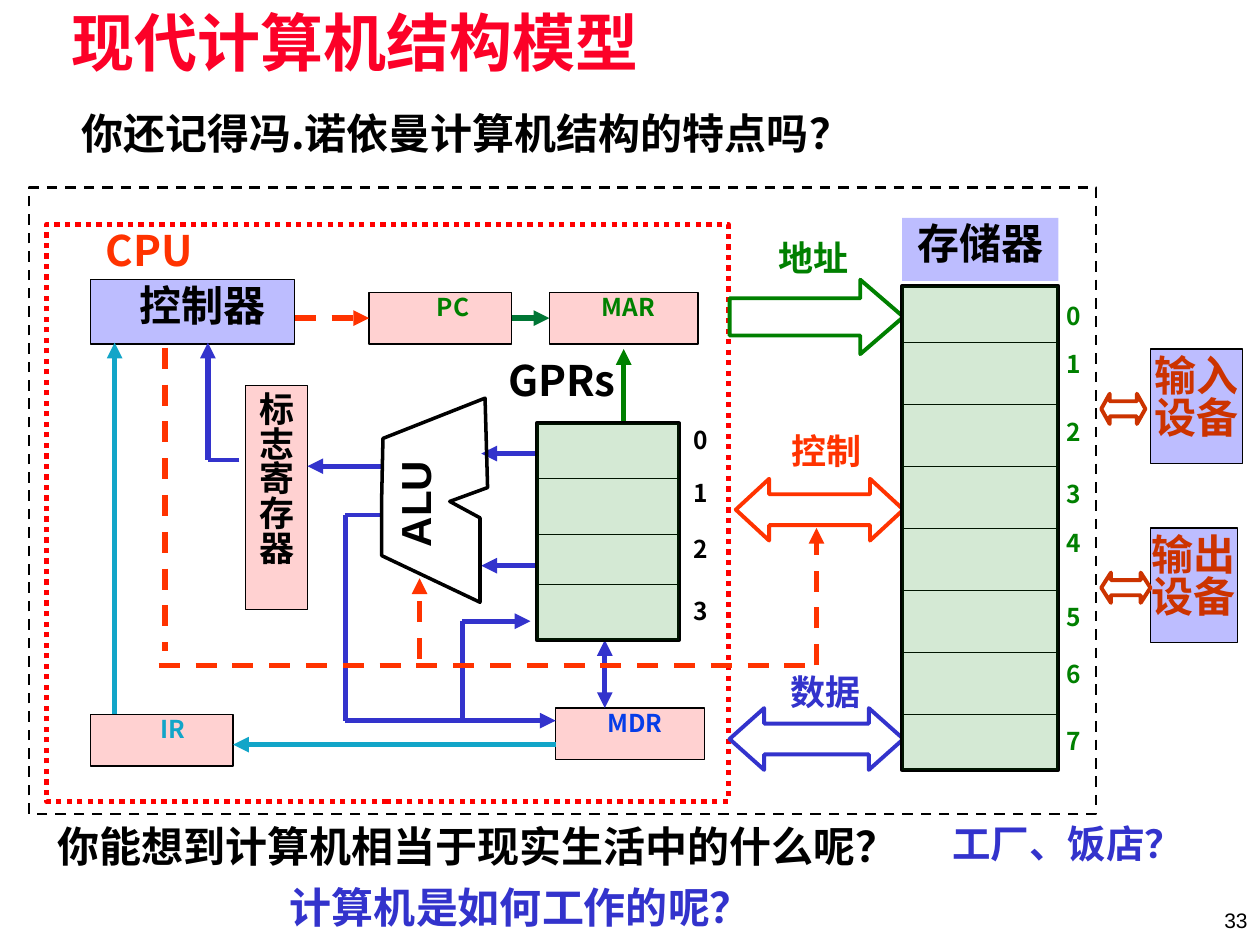
from dataclasses import dataclass
from itertools import pairwise

from lxml.etree import SubElement
from pptx import Presentation
from pptx.dml.color import RGBColor
from pptx.enum.dml import MSO_LINE as Dash
from pptx.enum.shapes import MSO_CONNECTOR as Link, MSO_SHAPE as Shape
from pptx.enum.text import MSO_ANCHOR as Anchor, PP_ALIGN as Align
from pptx.oxml.ns import qn
from pptx.util import Inches, Pt

COLUMNS, ROWS = 100, 75
CJK = "Noto Sans CJK SC"
BLACK, WHITE, BLUE, RED = "000000", "FFFFFF", "0000FF", "FF0000"
GREEN, INDIGO, ORANGE, CYAN, RUST = "008000", "3333CC", "FF3300", "12A5C8", "CC3300"
VIOLET, PINK, MINT = (BLUE, 26), (RED, 18), (GREEN, 17)

deck = Presentation()
deck.slide_width, deck.slide_height = Inches(10), Inches(7.5)
slide = deck.slides.add_slide(deck.slide_layouts[6])


def rgb(hex_colour):
    """Turn a hex string into a colour."""
    return RGBColor.from_string(hex_colour)


def assign(target, values):
    """Set every attribute named in a dict of format values."""
    for name, value in values.items():
        setattr(target, name, value)


def paint(shape, fill=None, line=None, width=0.75, dash=None):
    """Fill and outline a shape; a fill may be a (colour, opacity) pair."""
    shape.shadow.inherit = False
    if fill:
        colour, opacity = fill if isinstance(fill, tuple) else (fill, 100)
        shape.fill.solid()
        shape.fill.fore_color.rgb = rgb(colour)
        if opacity < 100:
            tint = shape.fill._xPr.find(".//" + qn("a:srgbClr"))
            SubElement(tint, qn("a:alpha"), val=str(opacity * 1000))
    else:
        shape.fill.background()
    if line:
        shape.line.color.rgb = rgb(line)
        assign(shape.line, {"width": Pt(width), "dash_style": dash})
    else:
        shape.line.fill.background()


def write(shape, text, size, colour, font=CJK, bold=True, align=Align.CENTER,
          spacing=None, anchor=Anchor.TOP, left=0, top=0, right=0):
    """Set the text of a shape, one paragraph a line."""
    frame = shape.text_frame
    assign(frame, {"word_wrap": True, "vertical_anchor": anchor, "margin_left": Inches(left),
                   "margin_top": Inches(top), "margin_right": Inches(right), "margin_bottom": 0})
    frame.text = text
    for paragraph in frame.paragraphs:
        assign(paragraph, {"alignment": align, "line_spacing": spacing})
        run = paragraph.runs[0]
        assign(run.font, {"size": Pt(size), "bold": bold, "name": font})
        run.font.color.rgb = rgb(colour)
        SubElement(run.font._element, qn("a:ea"), typeface=CJK)


@dataclass
class Region:
    """A box on the slide grid whose parts sit relative to its corner."""
    left: float
    top: float
    width: float
    height: float

    def point(self, x, y):
        """Convert local columns and rows to slide lengths."""
        return (round((self.left + x) * deck.slide_width / COLUMNS),
                round((self.top + y) * deck.slide_height / ROWS))

    def frame(self, x, y, width, height):
        """Convert a local box to slide lengths."""
        return *self.point(x, y), *Region(0, 0, 0, 0).point(width, height)

    def block(self, box, kind=Shape.RECTANGLE, adjust=(), **style):
        """Add a preset shape."""
        shape = slide.shapes.add_shape(kind, *self.frame(*box))
        for index, value in enumerate(adjust):
            shape.adjustments[index] = value
        paint(shape, **style)
        return shape

    def label(self, box, text, size, colour, **style):
        """Add free text."""
        shape = slide.shapes.add_textbox(*self.frame(*box))
        write(shape, text, size, colour, **style)
        return shape

    def route(self, points, colour, width=3, dash=None, head=False, tail=True):
        """Chain straight connectors through the points and return the last."""
        for start, end in pairwise(points):
            wire = slide.shapes.add_connector(Link.STRAIGHT, *self.point(*start), *self.point(*end))
            wire.line.color.rgb = rgb(colour)
            assign(wire.line, {"width": Pt(width), "dash_style": dash})
            outline = wire.line._get_or_add_ln()
            if head:
                SubElement(outline, qn("a:headEnd"), type="triangle")
            if tail and end == points[-1]:
                SubElement(outline, qn("a:tailEnd"), type="triangle")
            SubElement(wire._element.spPr, qn("a:effectLst"))
        return wire


def draw_cpu(cpu):
    """Draw the processor border, its registers and the wiring between them."""
    cpu.block((0, 0, cpu.width, cpu.height), line=RED, width=3, dash=Dash.ROUND_DOT)
    cpu.label((3.5, 0, 9.3, 5), "CPU", 24, ORANGE)
    registers = {}
    for name, box, fill, size, colour, indent in (
            ("控制器", (3.5, 4.4, 16.2, 5.1), VIOLET, 24, BLACK, 0.15),
            ("PC", (25.6, 5.4, 11.3, 4.1), PINK, 14, GREEN, 0.2),
            ("MAR", (39.9, 5.4, 11.8, 4.1), PINK, 14, GREEN, 0.08),
            ("MDR", (40.4, 38.4, 11.8, 4.1), PINK, 14, "063DE8", 0.08),
            ("IR", (3.5, 38.9, 11.3, 4.1), PINK, 14, CYAN, 0.18)):
        registers[name] = cpu.block(box, fill=fill, line=BLACK)
        write(registers[name], name, size, colour, left=indent)
    flags = cpu.block((15.8, 12.8, 4.9, 17.8), fill=PINK, line=BLACK)
    write(flags, "\n".join("标志寄存器"), 20, BLACK, spacing=0.83, top=0.07)

    fetch = cpu.route([(19.7, 7.45), (25.6, 7.45)], ORANGE, dash=Dash.DASH)
    fetch.end_connect(registers["PC"], 1)
    address = cpu.route([(36.9, 7.45), (39.9, 7.45)], "007635")
    address.begin_connect(registers["PC"], 3)
    address.end_connect(registers["MAR"], 1)
    cpu.route([(44.3, 33), (44.3, 38.4)], INDIGO, head=True)
    cpu.route([(45.8, 15.8), (45.8, 9.9)], GREEN)
    cpu.route([(40.4, 41.3), (14.8, 41.3)], CYAN)
    cpu.route([(5.4, 38.9), (5.4, 9.4)], CYAN)
    for points in ([(38.9, 18.2), (34.5, 18.2)], [(38.9, 27.1), (34.5, 27.1)],
                   [(26.6, 19.2), (20.7, 19.2)], [(12.8, 18.7), (12.8, 9.4)],
                   [(23.7, 23.1), (23.7, 39.4), (40.4, 39.4)],
                   [(33, 39.4), (33, 31.5), (38.4, 31.5)]):
        cpu.route(points, INDIGO)
    for points in ([(15.3, 18.7), (12.8, 18.7)], [(26.6, 23.1), (23.7, 23.1)]):
        cpu.route(points, INDIGO, width=2.25, tail=False)
    for points, tail in (([(8.9, 35), (60.6, 35)], False), ([(9.4, 9.8), (9.4, 33.9)], False),
                         ([(29.6, 34.5), (29.6, 28.1)], True)):
        cpu.route(points, ORANGE, dash=Dash.DASH, tail=tail)


def draw_alu(alu):
    """Draw the notched arithmetic unit."""
    corners = [(8.2, 0), (8.4, 7.1), (5.4, 8.2), (7.8, 9.5), (7.8, 16.2),
               (0, 12.5), (0, 7.7), (0.1, 3.2)]
    start, *others = [alu.point(*corner) for corner in corners]
    builder = slide.shapes.build_freeform(*start)
    builder.add_line_segments(others)
    paint(builder.convert_to_shape(), line=BLACK, width=2)
    alu.label((-1.6, 6.1, 8.9, 4.6), "ALU", 24, BLACK, font="Arial", spacing=0.9,
              top=0.05).rotation = 270


def draw_bank(bank, dividers, number_tops, number_box, colour):
    """Draw a tinted stack of numbered cells."""
    whole = (0, 0, bank.width, bank.height)
    bank.block(whole, fill=WHITE, line=BLACK, width=2.25)
    for y in dividers:
        bank.route([(0, y), (bank.width, y)], BLACK, width=0.75, tail=False)
    left, width = number_box
    for number, top in enumerate(number_tops):
        bank.label((left, top, width, 4), str(number), 14, colour)
    bank.block(whole, fill=MINT)


def draw_buses(buses):
    """Draw the address, control and data buses."""
    for name, label_box, arrow_box, kind, head, colour in (
            ("地址", (2, 0, 9.4, 4.3), (0, 3.4, 13.8, 5.9), Shape.RIGHT_ARROW, 0.58, GREEN),
            ("控制", (3, 15.3, 9.4, 4.3), (0.5, 19.2, 13.3, 4.9), Shape.LEFT_RIGHT_ARROW, 0.54, ORANGE),
            ("数据", (3.4, 34.4, 8.4, 4.3), (0, 37.4, 13.8, 4.9), Shape.LEFT_RIGHT_ARROW, 0.56, INDIGO)):
        buses.block(arrow_box, kind, (0.5, head), fill=WHITE, line=colour, width=2.25)
        buses.label(label_box, name, 20, colour)
    buses.route([(6.9, 34), (6.9, 23.1)], ORANGE, dash=Dash.DASH)


def draw_device(device, name, arrow_width, head):
    """Draw an outside device and its two-way arrow."""
    body = device.block((3.9, 0, device.width - 3.9, device.height), fill=VIOLET, line=BLACK)
    write(body, name, 24, RUST, spacing=0.83, top=0.07)
    device.block((0, 3.55, arrow_width, 2.4), Shape.LEFT_RIGHT_ARROW, (0.5, head),
                 fill=WHITE, line=RUST, width=2.25)


def draw_texts(page):
    """Write the title, the questions and the page number."""
    page.label((5, 1.1, 90, 6.1), "现代计算机结构模型", 36, "FC0128", font="Arial",
               align=Align.LEFT, spacing=0.87, left=0.07)
    for text, box, size, colour in (
            ("你还记得冯.诺依曼计算机结构的特点吗？", (2.3, 8.5, 69.4, 5), 24, BLACK),
            ("你能想到计算机相当于现实生活中的什么呢？", (3.2, 65.1, 69.4, 5), 24, BLACK),
            ("工厂、饭店？", (74.6, 65.1, 20.3, 4.7), 22, INDIGO),
            ("计算机是如何工作的呢？", (3.7, 70, 75.3, 5), 24, INDIGO)):
        page.label(box, text, size, colour)
    page.label((77.5, 71, 22.5, 4), "33", 12, BLACK, font="Arial", bold=False,
               align=Align.RIGHT, anchor=Anchor.MIDDLE, right=0.1)


Region(2.3, 14.9, 84.7, 49.7).block((0, 0, 84.7, 49.7), line=BLACK, width=1.5, dash=Dash.DASH)
draw_cpu(Region(3.7, 17.8, 54.1, 45.8))
draw_alu(Region(30.3, 31.6, 8.4, 16.2))
draw_buses(Region(57.9, 18.8, 13.8, 42.3))
Region(38.2, 28.1, 12.8, 5).label((0, 0, 12.8, 5), "GPRs", 24, BLACK)
draw_bank(Region(42.6, 33.6, 11.3, 17.2), (4.4, 8.8, 12.8), (0.1, 4.3, 8.8, 13.7), (11.3, 3.5), BLACK)
write(Region(71.6, 17.3, 12.4, 5).block((0, 0, 12.4, 5), fill=VIOLET), "存储器", 24, BLACK)
draw_bank(Region(71.6, 22.7, 12.4, 38.4), [4.5 + 4.92 * row for row in range(7)],
          (1.2, 5, 10.4, 15.3, 19.2, 25.1, 29.6, 34.9), (12, 3.3), GREEN)
draw_device(Region(87.4, 27.7, 11.2, 9.1), "输入\n设备", 3.5, 0.28)
draw_device(Region(87.4, 41.9, 10.8, 9.1), "输出\n设备", 3.9, 0.32)
draw_texts(Region(0, 0, COLUMNS, ROWS))
deck.save("out.pptx")
